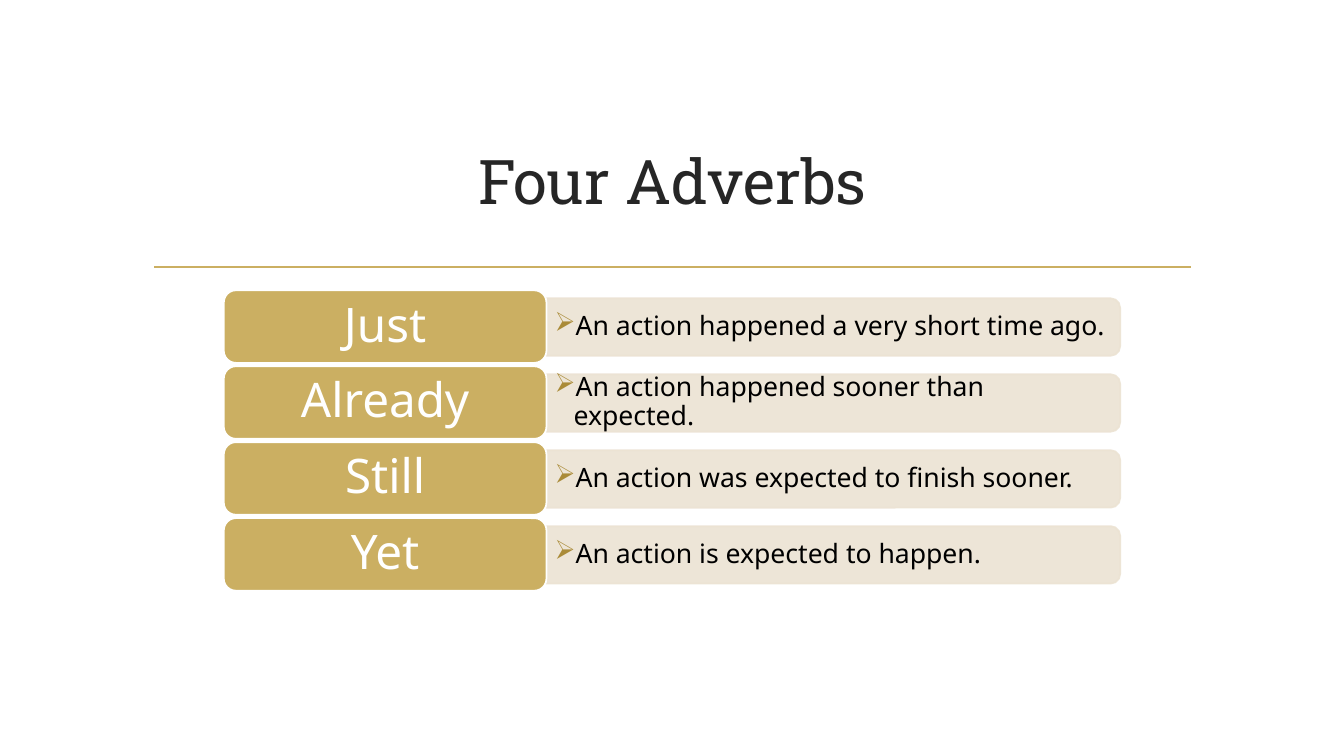
from lxml.etree import SubElement as Sub
from pptx import Presentation
from pptx.dml.color import RGBColor as RGB
from pptx.enum.shapes import MSO_CONNECTOR as LINK, MSO_SHAPE as FORM
from pptx.enum.text import MSO_ANCHOR as ANCHOR, PP_ALIGN as ALIGN
from pptx.oxml.ns import qn
from pptx.util import Inches, Pt

HUES = {"gold": "CBAF62", "sand": "ECE3D3", "mark": "AA8B38",
        "ink": "262626", "black": "000000", "white": "FFFFFF"}
ROWS = [
    ("Just", "An action happened a very short time ago."),
    ("Already", "An action happened sooner than expected."),
    ("Still", "An action was expected to finish sooner."),
    ("Yet", "An action is expected to happen."),
]
STEP = 2.26 / 3


class Page:
    def __init__(self, slide):
        self.shapes = slide.shapes
        self.body = "Noto Sans"
        self.head = "Roboto Slab"
        self.width = Pt(1.25)

    def hue(self, name):
        return RGB.from_string(HUES[name])

    def rule(self, x1, x2, y):
        line = self.shapes.add_connector(
            LINK.STRAIGHT, Inches(x1), Inches(y), Inches(x2), Inches(y))
        line.line.color.rgb = self.hue("gold")
        line.line.width = self.width
        Sub(line._element.spPr, qn("a:effectLst"))

    def box(self, form, at, fill, edge, alpha=None):
        shape = self.shapes.add_shape(form, *map(Inches, at))
        shape.shadow.inherit = False
        shape.fill.solid()
        shape.fill.fore_color.rgb = self.hue(fill)
        shape.line.color.rgb = self.hue(edge)
        shape.line.width = self.width
        if alpha:
            for tone in shape._element.spPr.iter(qn("a:srgbClr")):
                Sub(tone, qn("a:alpha"), val=str(alpha * 1000))
        return shape

    def area(self, at):
        return self.shapes.add_textbox(*map(Inches, at))

    def label(self, shape, text, size, color, font, pad=(0.1, 0.05), **form):
        frame = shape.text_frame
        side, top = map(Inches, pad)
        style = {"word_wrap": True, "vertical_anchor": ANCHOR.MIDDLE,
                 "margin_left": side, "margin_right": side,
                 "margin_top": top, "margin_bottom": top}
        for key, value in style.items():
            setattr(frame, key, value)
        para = frame.paragraphs[0]
        for key, value in form.items():
            setattr(para, key, value)
        run = para.add_run()
        run.text = text
        for key, value in {"size": Pt(size), "name": font}.items():
            setattr(run.font, key, value)
        run.font.color.rgb = self.hue(color)
        return para

    def bullet(self, para, sign, color, dent):
        props = para._p.get_or_add_pPr()
        props.set("marL", str(Inches(dent)))
        props.set("indent", str(-Inches(dent)))
        tint = Sub(props, qn("a:buClr"))
        Sub(tint, qn("a:srgbClr"), val=HUES[color])
        Sub(props, qn("a:buChar"), char=sign)

    def row(self, y, word, note):
        # Panel turned a quarter so that its round corners face right
        panel = self.box(FORM.ROUND_2_SAME_RECTANGLE,
                         (7.98, y - 2.48, 0.57, 5.69), "sand", "sand", 90)
        panel.rotation = 90
        para = self.label(self.area((5.42, y + 0.1, 5.66, 0.52)), note, 19,
                          "black", self.body, (0.08, 0.04),
                          level=1, line_spacing=0.9, alignment=ALIGN.LEFT)
        self.bullet(para, "➢", "mark", 0.19)
        # Adverb block
        block = self.box(FORM.ROUNDED_RECTANGLE, (2.22, y, 3.2, 0.72),
                         "gold", "white")
        self.label(block, word, 34, "white", self.body, (0.14, 0.07),
                   line_spacing=0.9, alignment=ALIGN.CENTER)


def main():
    deck = Presentation()
    deck.slide_width, deck.slide_height = Inches(13.33), Inches(7.5)
    page = Page(deck.slides.add_slide(deck.slide_layouts[6]))

    # Title and rule
    page.rule(1.53, 11.81, 2.65)
    page.label(page.area((1.42, 1.07, 10.5, 1.43)), "Four Adverbs", 44,
               "ink", page.head, alignment=ALIGN.CENTER)

    # Adverbs with their meanings
    for i, (word, note) in enumerate(ROWS):
        page.row(2.88 + i * STEP, word, note)

    deck.save("out.pptx")


if __name__ == "__main__":
    main()
